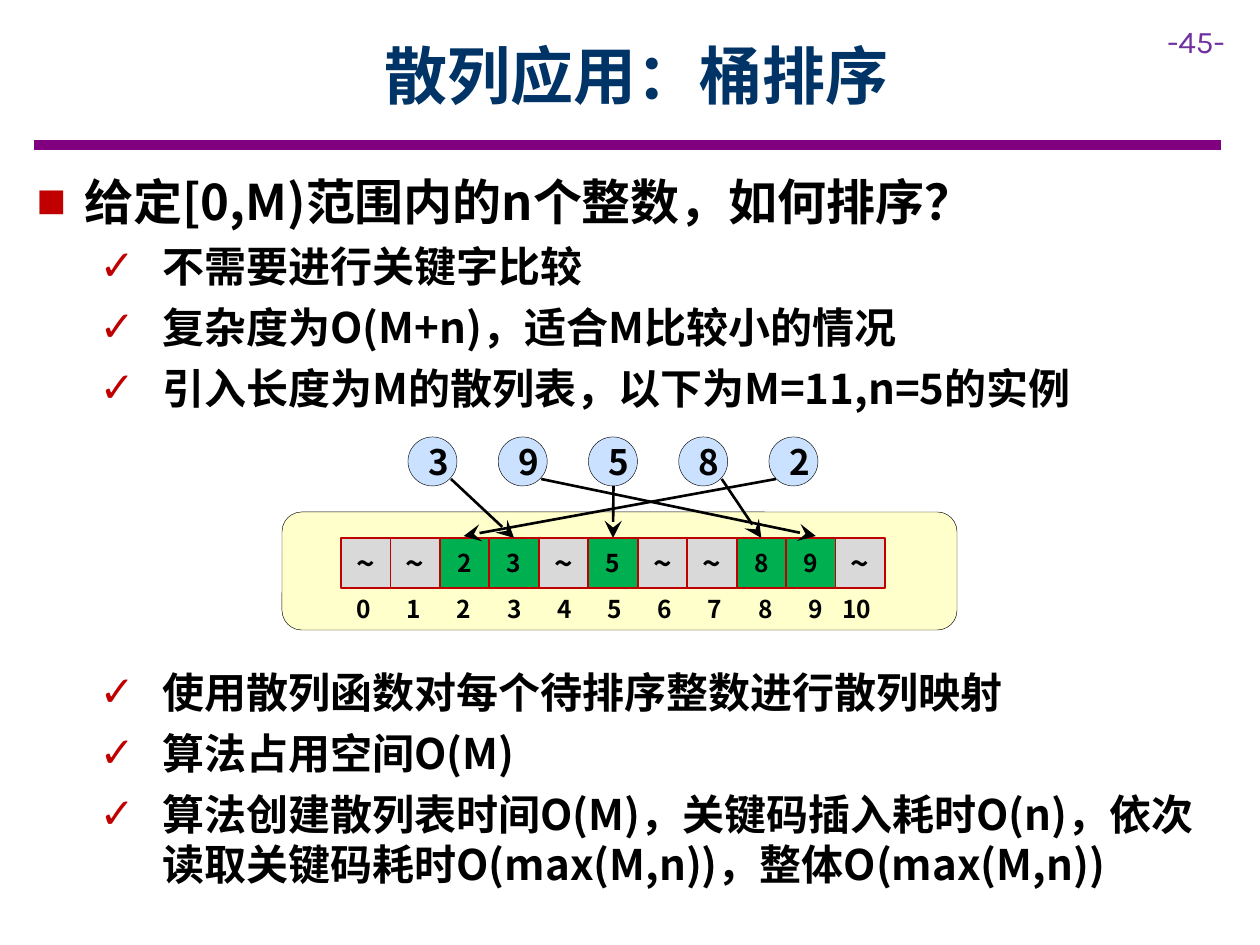
"""Build the bucket sort slide."""
from lxml import etree
from pptx import Presentation
from pptx import util as u
from pptx.dml.color import RGBColor
from pptx.enum import shapes, text
from pptx.oxml.ns import qn

PX = 914400 / 126
FONT = "Noto Sans CJK SC"
TITLE = "散列应用：桶排序"
BULLETS = [
    (0, "给定[0,M)范围内的n个整数，如何排序？", 0),
    (1, "不需要进行关键字比较", 0),
    (1, "复杂度为O(M+n)，适合M比较小的情况", 0),
    (1, "引入长度为M的散列表，以下为M=11,n=5的实例", 0),
    (1, "使用散列函数对每个待排序整数进行散列映射", 139),
    (1, "算法占用空间O(M)", 0),
    (1, "算法创建散列表时间O(M)，关键码插入耗时O(n)，"
        "依次读取关键码耗时O(max(M,n))，整体O(max(M,n))", 0),
]
LEVELS = [("■", 28, 48, -48), ("✓", 24, 126, -63)]
BUCKETS = 11
KEYS = [
    (3, (43, 42), None),
    (9, (43, 42), (5, -2)),
    (5, (25, 49), None),
    (8, (43, 42), None),
    (2, (7, 42), (-1, -2)),
]


def px(value):
    return u.Emu(round(value * PX))


def rgb(value):
    return RGBColor.from_string(value)


def place(shape, left, top, width, height):
    shape.left, shape.top, shape.width, shape.height = map(px, (left, top, width, height))


def add_span(para, words, size, color="000000", bold=True, font=FONT):
    span = para.add_run()
    span.text = words
    span.font.size = u.Pt(size)
    span.font.bold = bold
    span.font.name = font
    span.font.color.rgb = rgb(color)
    east_asian = etree.SubElement(span._r.get_or_add_rPr(), qn("a:ea"))
    east_asian.set("typeface", font)


def add_label(page, words, left, top, width, height, size, **style):
    box = page.shapes.add_textbox(*map(px, (left, top, width, height)))
    box.text_frame.word_wrap = False
    add_span(box.text_frame.paragraphs[0], words, size, **style)


def add_box(page, kind, bounds, fill, line, weight):
    shape = page.shapes.add_shape(kind, *map(px, bounds))
    shape.shadow.inherit = False
    shape.fill.solid()
    shape.fill.fore_color.rgb = rgb(fill)
    shape.line.color.rgb = rgb(line)
    shape.line.width = u.Pt(weight)
    return shape


def write_inside(shape, words, size, side, end):
    frame = shape.text_frame
    frame.margin_left = frame.margin_right = px(side)
    frame.margin_top = frame.margin_bottom = px(end)
    frame.vertical_anchor = text.MSO_ANCHOR.MIDDLE
    frame.paragraphs[0].alignment = text.PP_ALIGN.CENTER
    add_span(frame.paragraphs[0], words, size)


def add_line(page, start, end, color, weight, arrow=False):
    line = page.shapes.add_connector(shapes.MSO_CONNECTOR.STRAIGHT, *map(px, start + end))
    line.line.color.rgb = rgb(color)
    line.line.width = u.Pt(weight)
    if arrow:
        tail = etree.SubElement(line.line._get_or_add_ln(), qn("a:tailEnd"))
        tail.set("type", "stealth")
        tail.set("w", "lg")
        tail.set("len", "lg")
    etree.SubElement(line._element.spPr, qn("a:effectLst"))
    return line


def add_header(page):
    add_line(page, (34, 145), (1221, 145), "800080", 6)
    add_label(page, "-45-", 1155, 16, 105, 50, 18, color="7030A0", bold=False, font="Karla")
    title = page.shapes.title
    place(title, 113, 11, 1047, 126)
    title.text_frame.vertical_anchor = text.MSO_ANCHOR.MIDDLE
    para = title.text_frame.paragraphs[0]
    para.alignment = text.PP_ALIGN.CENTER
    add_span(para, TITLE, 36, color="003366")


def add_bullets(page):
    body = page.placeholders[1]
    place(body, 24, 165, 1221, 738)
    frame = body.text_frame
    frame.auto_size = text.MSO_AUTO_SIZE.NONE
    for index, (level, words, before) in enumerate(BULLETS):
        para = frame.add_paragraph() if index else frame.paragraphs[0]
        mark, size, margin, indent = LEVELS[level]
        para.level = level
        para.space_before = u.Pt(before)
        para.space_after = u.Pt(6)
        para.line_spacing = u.Pt(1.2 * size)
        props = para._p.get_or_add_pPr()
        props.set("marL", str(px(margin)))
        props.set("indent", str(px(indent)))
        color = etree.SubElement(props, qn("a:buClr"))
        etree.SubElement(color, qn("a:srgbClr")).set("val", "C00000")
        etree.SubElement(props, qn("a:buChar")).set("char", mark)
        add_span(para, words, size)


def add_table_diagram(page):
    kinds = shapes.MSO_SHAPE
    add_box(page, kinds.ROUNDED_RECTANGLE, (282, 512, 675, 118), "FFFFCC", "000000", 0.25)
    filled = {key for key, _, _ in KEYS}
    lefts = [341 + 544 * bucket / BUCKETS for bucket in range(BUCKETS)]
    width = 544 / BUCKETS
    cells = []
    for bucket, left in enumerate(lefts):
        used = bucket in filled
        cell = add_box(page, kinds.RECTANGLE, (left, 538, width, 50),
                       "00B050" if used else "D9D9D9", "C00000", 1)
        write_inside(cell, str(bucket) if used else "~", 14 if used else 18, 0 if used else 5, 0)
        cells.append(cell)
        two_digits = bucket > 9
        add_label(page, str(bucket), 830 if two_digits else 344 + 452 * bucket / 9,
                  588, 55 if two_digits else 40, 43, 14)
    for index, (key, start, nudge) in enumerate(KEYS):
        left, top = 408 + 361 * index / 4, 437
        circle = add_box(page, kinds.OVAL, (left, top, 49, 49), "CAE2FF", "000000", 0.25)
        write_inside(circle, str(key), 20, 13, 13)
        across, down = nudge or (0, 0)
        arrow = add_line(page, (left + start[0], top + start[1]),
                         (lefts[key] + width / 2 + across, 538 + down), "000000", 1.5, arrow=True)
        if nudge is None:
            arrow.end_connect(cells[key], 0)


def main():
    deck = Presentation()
    deck.slide_width, deck.slide_height = px(1260), px(945)
    page = deck.slides.add_slide(deck.slide_layouts[1])
    add_header(page)
    add_bullets(page)
    add_table_diagram(page)
    deck.save("out.pptx")


if __name__ == "__main__":
    main()
